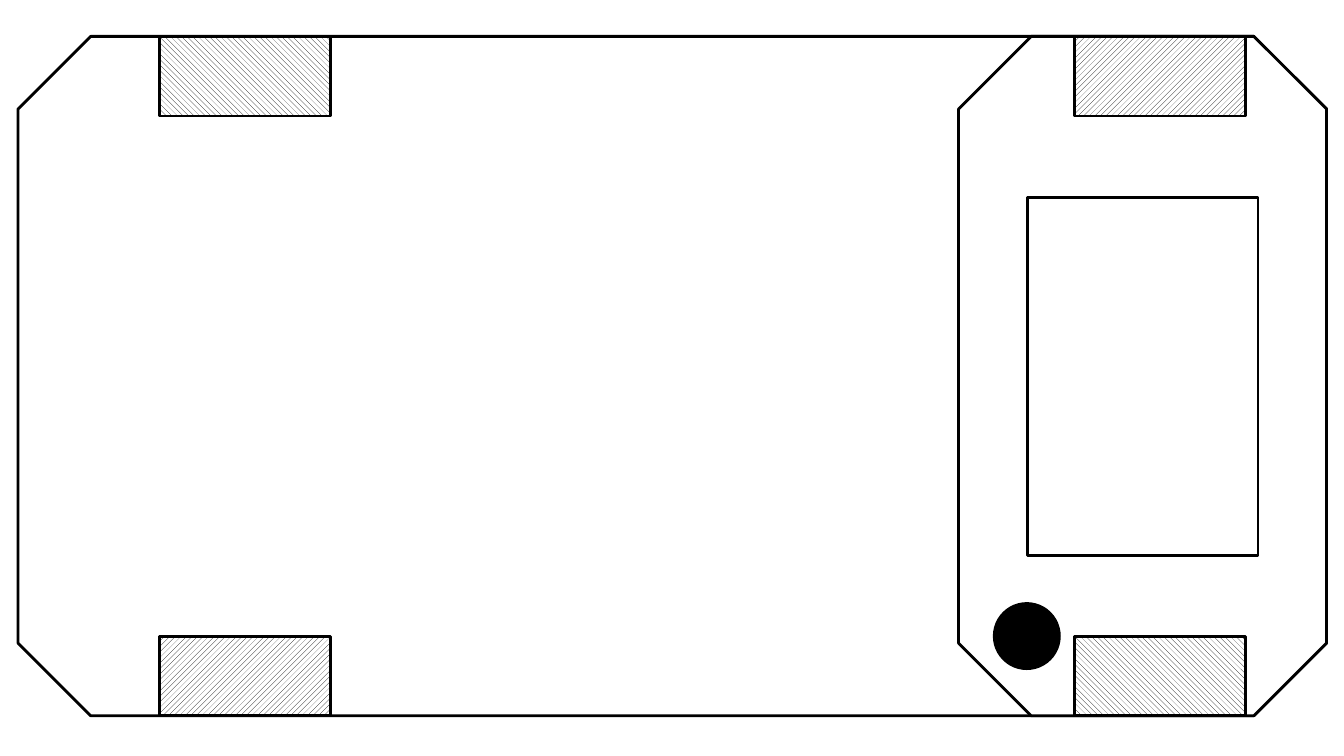
from pptx import Presentation
from pptx.dml.color import RGBColor
from pptx.enum.dml import MSO_PATTERN
from pptx.enum.shapes import MSO_SHAPE
from pptx.util import Pt

OCTAGON = MSO_SHAPE.OCTAGON
RECTANGLE = MSO_SHAPE.RECTANGLE
OVAL = MSO_SHAPE.OVAL
DOWN_HATCH = MSO_PATTERN.WIDE_DOWNWARD_DIAGONAL
UP_HATCH = MSO_PATTERN.WIDE_UPWARD_DIAGONAL

BLACK = RGBColor(0, 0, 0)
WHITE = RGBColor(255, 255, 255)

CORNER_CUT = 51.9
CAB_WIDTH = 262.8
WHEEL_WIDTH, WHEEL_HEIGHT = 122.4, 56.9
WHEEL_OFFSETS = (100.8, 754.6)


def add_part(group, kind, left, top, width, height, fill=WHITE, line_width=2):
    shape = group.shapes.add_shape(kind, Pt(left), Pt(top), Pt(width), Pt(height))
    shape.shadow.inherit = False
    shape.fill.solid()
    shape.fill.fore_color.rgb = fill
    shape.line.color.rgb = BLACK
    shape.line.width = Pt(line_width)
    return shape


def add_hull(group, left, top, width, height):
    hull = add_part(group, OCTAGON, left, top, width, height)
    hull.adjustments[0] = CORNER_CUT / min(width, height)


def add_cab(group, left, top, width, height):
    add_hull(group, left, top, width, height)
    add_part(group, RECTANGLE, left + 49, top + 115, 164.9, 255.6)
    add_part(group, OVAL, left + 25, top + 404.6, 47.5, 47.5, fill=BLACK, line_width=1)


def add_wheel(group, left, top, pattern):
    wheel = add_part(group, RECTANGLE, left, top, WHEEL_WIDTH, WHEEL_HEIGHT)
    wheel.fill.patterned()
    wheel.fill.pattern = pattern
    wheel.fill.fore_color.rgb = BLACK
    wheel.fill.back_color.rgb = WHITE
    if pattern == UP_HATCH:
        wheel.rotation = 180


def add_vehicle(slide, left, top, width, height):
    group = slide.shapes.add_group_shape()
    add_hull(group, left, top, width, height)
    add_cab(group, left + width - CAB_WIDTH, top, CAB_WIDTH, height)
    rear, front = (left + offset for offset in WHEEL_OFFSETS)
    bottom = top + height - WHEEL_HEIGHT
    add_wheel(group, rear, top, DOWN_HATCH)
    add_wheel(group, front, bottom, DOWN_HATCH)
    add_wheel(group, rear, bottom, UP_HATCH)
    add_wheel(group, front, top, UP_HATCH)


presentation = Presentation()
presentation.slide_width = Pt(960)
presentation.slide_height = Pt(540)
slide = presentation.slides.add_slide(presentation.slide_layouts[6])
add_vehicle(slide, 12.9, 26, 934.6, 485.3)
presentation.save("out.pptx")
